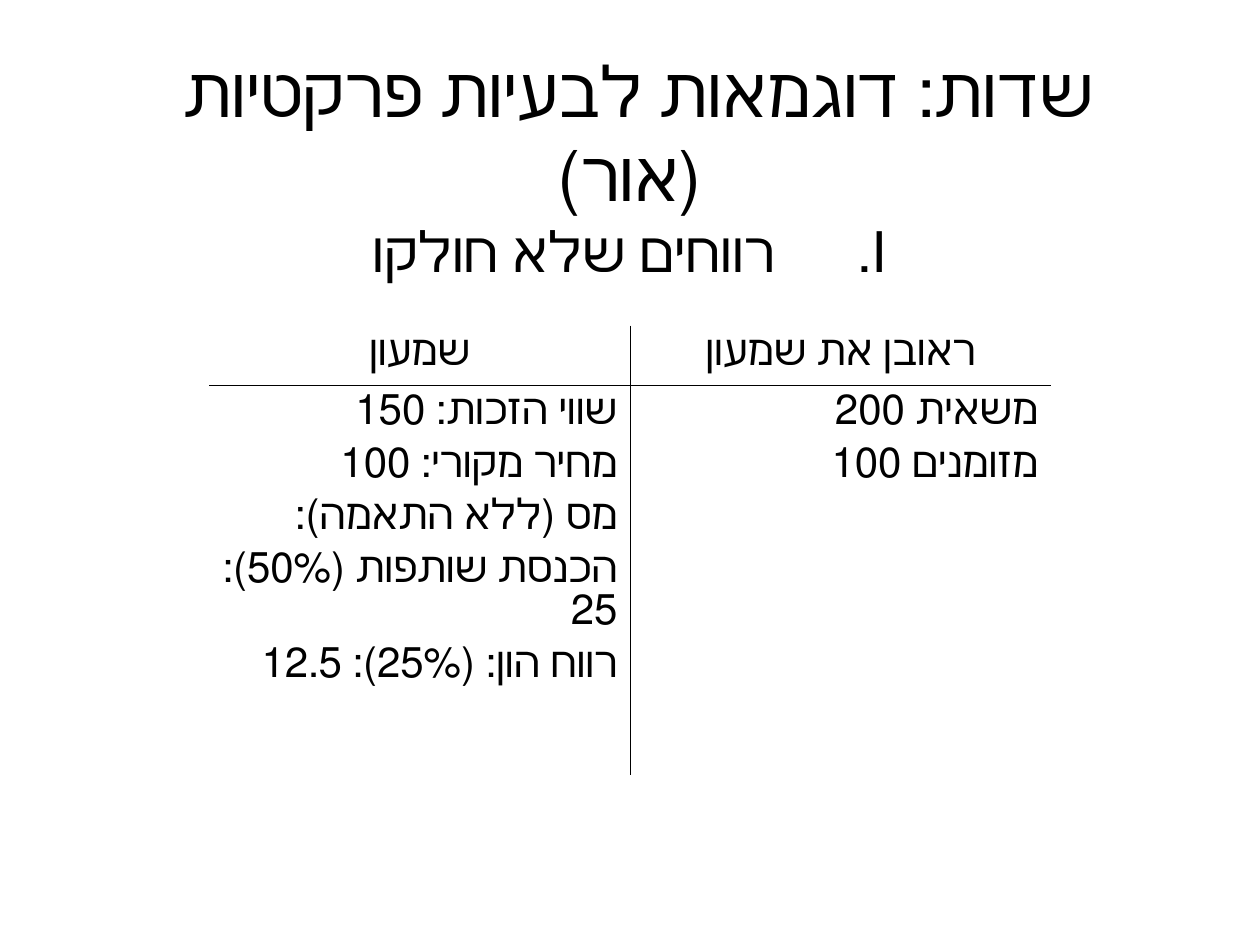
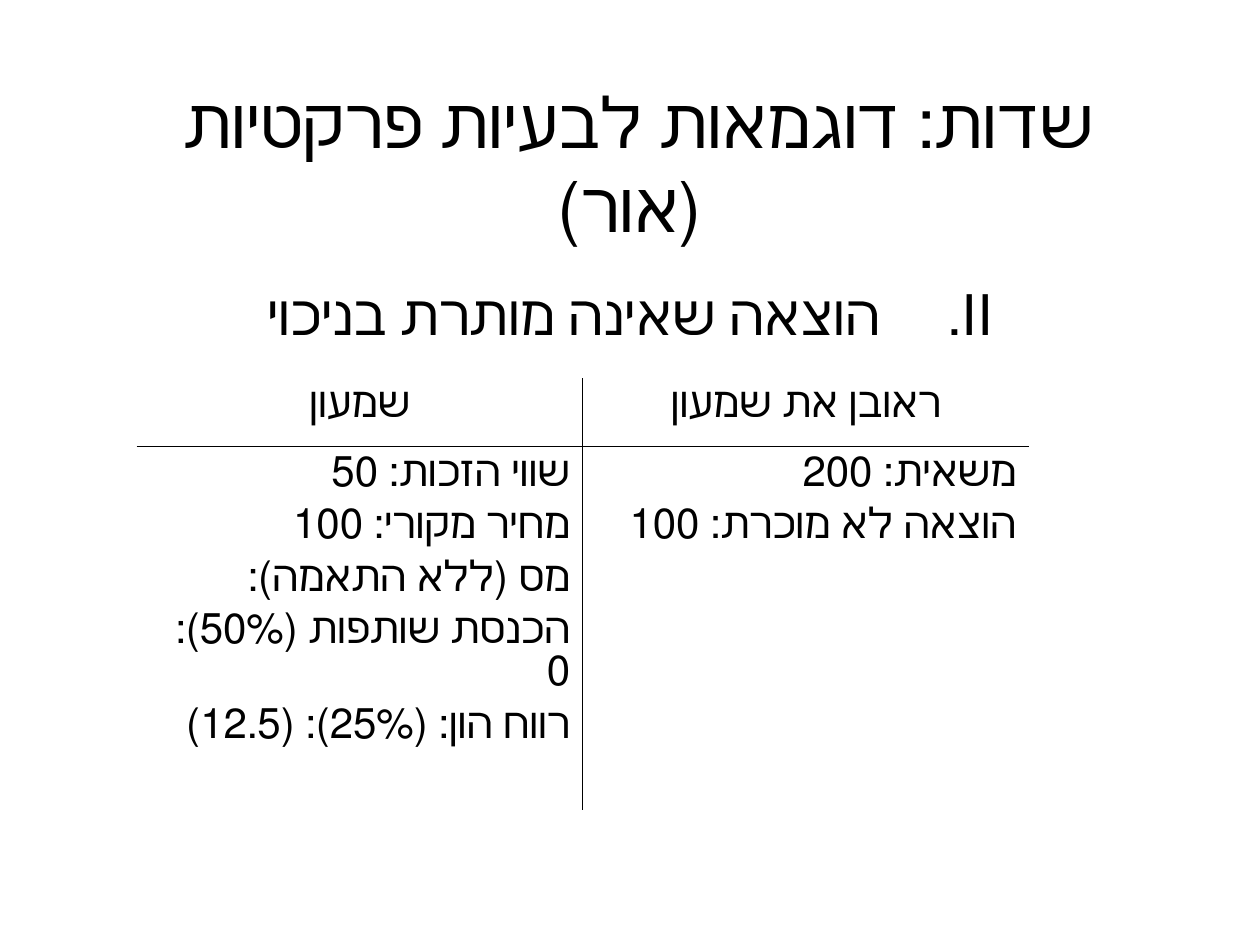
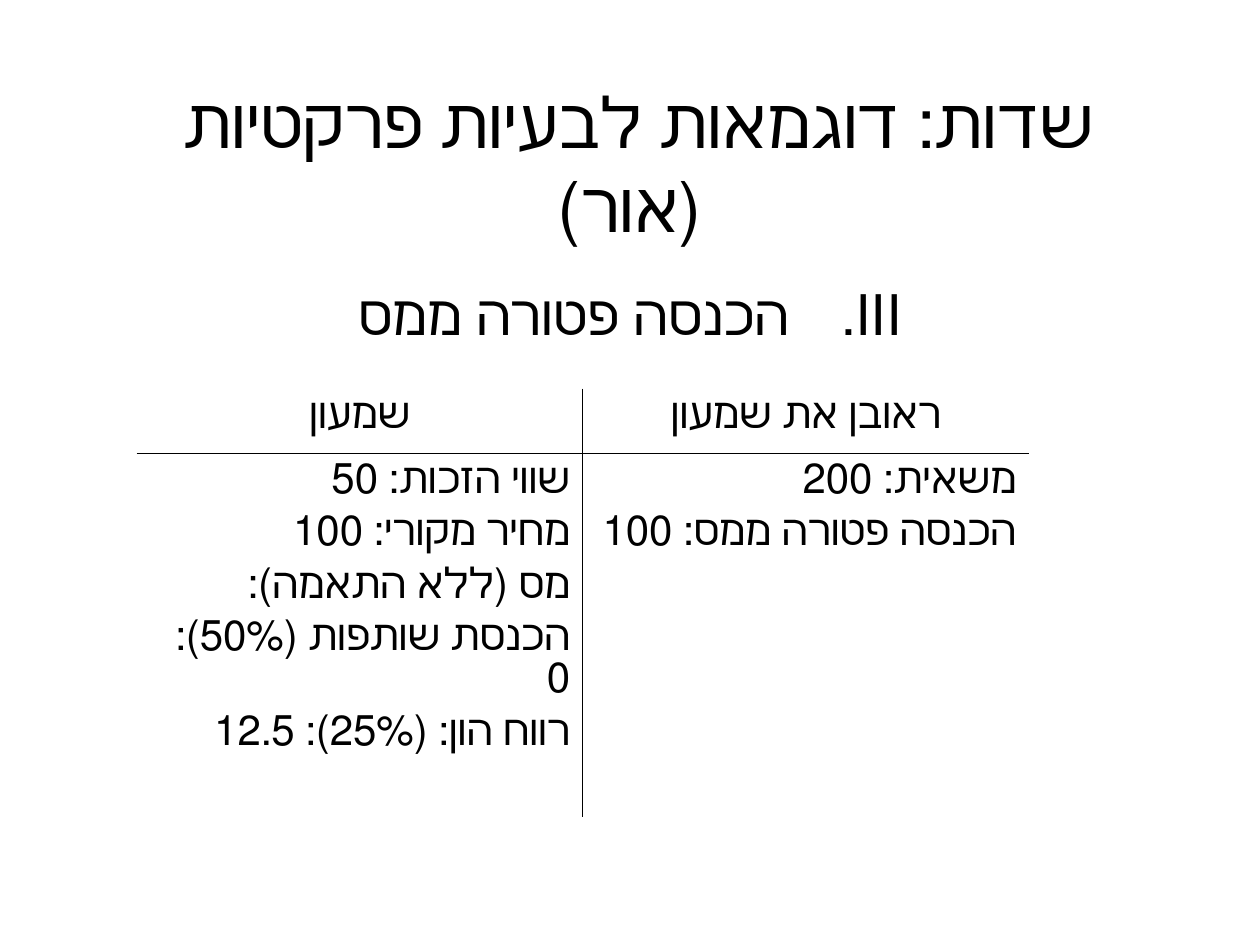
from dataclasses import dataclass

from lxml import etree
from pptx import Presentation
from pptx.dml.color import RGBColor
from pptx.enum import text
from pptx.oxml import ns
from pptx.util import Length, Pt


@dataclass(frozen=True)
class Theme:
    ink: str = "000000"
    font: str = "Times New Roman"
    title_size: Length = Pt(40)
    heading_size: Length = Pt(32)
    table_size: Length = Pt(24)
    rule_width: Length = Pt(0.45)
    numeral_indent: Length = Pt(64)
    line_gap: Length = Pt(6)
    left: Length = Pt(54)
    width: Length = Pt(612)
    title_height: Length = Pt(90)
    body_bottom: Length = Pt(480)


@dataclass(frozen=True)
class Ledger:
    left: Length
    top: Length
    column_width: Length
    row_heights: tuple[Length, Length]
    partner: list[str]
    partnership: list[str]


@dataclass(frozen=True)
class Example:
    number: int
    heading: str
    title_top: Length
    body_top: Length
    ledger: Ledger


THEME = Theme()
TITLE = " שדות: דוגמאות לבעיות פרקטיות (אור)"
HEADERS = ("שמעון", "ראובן את שמעון")


def partner_lines(value: str, income: str, gain: str) -> list[str]:
    return [
        f"שווי הזכות: {value}",
        "מחיר מקורי: 100",
        "מס (ללא התאמה): ",
        f"הכנסת שותפות (50%): {income}",
        f"רווח הון: (25%): {gain}",
    ]


EXAMPLES = [
    Example(1, "רווחים שלא חולקו", Pt(30), Pt(120), Ledger(
        Pt(119.5), Pt(186), Pt(240.5), (Pt(34), Pt(223)),
        partner_lines("150", "25", "12.5"),
        ["משאית 200", "מזומנים 100"])),
    Example(2, "הוצאה שאינה מותרת בניכוי", Pt(48), Pt(156), Ledger(
        Pt(78), Pt(216), Pt(255), (Pt(39), Pt(208)),
        partner_lines("50", "0", "(12.5)"),
        ["משאית: 200", "הוצאה לא מוכרת: 100"])),
    Example(3, "הכנסה פטורה ממס", Pt(48), Pt(156), Ledger(
        Pt(78), Pt(222), Pt(255), (Pt(37), Pt(208)),
        partner_lines("50", "0", "12.5"),
        ["משאית: 200", "הכנסה פטורה ממס: 100"])),
]


def format_paragraph(paragraph, size: Length, alignment, right_to_left: bool = True) -> None:
    paragraph.alignment = alignment
    if right_to_left:
        paragraph._p.get_or_add_pPr().set("rtl", "1")
    for run in paragraph.runs:
        run.font.size = size
        run.font.name = THEME.font
        run.font.color.rgb = RGBColor.from_string(THEME.ink)


def place(shape, top: Length, height: Length) -> None:
    shape.left, shape.top = THEME.left, top
    shape.width, shape.height = THEME.width, height
    shape.text_frame.word_wrap = True
    shape.text_frame.auto_size = text.MSO_AUTO_SIZE.NONE


def add_title(slide, example: Example) -> None:
    title = slide.shapes.title
    place(title, example.title_top, THEME.title_height)
    title.text_frame.vertical_anchor = text.MSO_ANCHOR.MIDDLE
    title.text_frame.text = TITLE
    format_paragraph(title.text_frame.paragraphs[0], THEME.title_size,
                     text.PP_ALIGN.CENTER, right_to_left=False)


def add_heading(slide, example: Example) -> None:
    body = slide.placeholders[1]
    place(body, example.body_top, THEME.body_bottom - example.body_top)
    body.text_frame.text = example.heading
    paragraph = body.text_frame.paragraphs[0]
    paragraph.space_before = Pt(0)
    properties = paragraph._p.get_or_add_pPr()
    properties.set("marL", str(THEME.numeral_indent))
    properties.set("indent", str(-THEME.numeral_indent))
    etree.SubElement(properties, ns.qn("a:buAutoNum"),
                     type="romanUcPeriod", startAt=str(example.number))
    format_paragraph(paragraph, THEME.heading_size, text.PP_ALIGN.CENTER)


def set_borders(cell, ruled_sides: set[str]) -> None:
    properties = cell._tc.get_or_add_tcPr()
    for position, side in enumerate("LRTB"):
        line = etree.Element(ns.qn(f"a:ln{side}"), w=str(THEME.rule_width))
        if side in ruled_sides:
            fill = etree.SubElement(line, ns.qn("a:solidFill"))
            etree.SubElement(fill, ns.qn("a:srgbClr"), val=THEME.ink)
        else:
            etree.SubElement(line, ns.qn("a:noFill"))
        properties.insert(position, line)


def fill_cell(cell, lines: list[str], alignment) -> None:
    cell.fill.background()
    cell.text_frame.text = "\n".join(lines)
    for index, paragraph in enumerate(cell.text_frame.paragraphs):
        paragraph.space_before = THEME.line_gap if index else Pt(0)
        format_paragraph(paragraph, THEME.table_size, alignment)


def add_ledger(slide, ledger: Ledger) -> None:
    frame = slide.shapes.add_table(2, 2, ledger.left, ledger.top,
                                   2 * ledger.column_width, sum(ledger.row_heights))
    table = frame.table
    table.first_row = table.horz_banding = False
    for row, height in zip(table.rows, ledger.row_heights):
        row.height = height
    columns = zip(HEADERS, (ledger.partner, ledger.partnership), "RL")
    for column, (header, lines, inner_side) in enumerate(columns):
        header_cell, entries_cell = table.cell(0, column), table.cell(1, column)
        fill_cell(header_cell, [header], text.PP_ALIGN.CENTER)
        fill_cell(entries_cell, lines, text.PP_ALIGN.RIGHT)
        set_borders(header_cell, {inner_side, "B"})
        set_borders(entries_cell, {inner_side, "T"})


def main() -> None:
    presentation = Presentation()
    presentation.slide_width, presentation.slide_height = Pt(720), Pt(540)
    for example in EXAMPLES:
        slide = presentation.slides.add_slide(presentation.slide_layouts[1])
        add_title(slide, example)
        add_heading(slide, example)
        add_ledger(slide, example.ledger)
    presentation.save("out.pptx")


if __name__ == "__main__":
    main()
